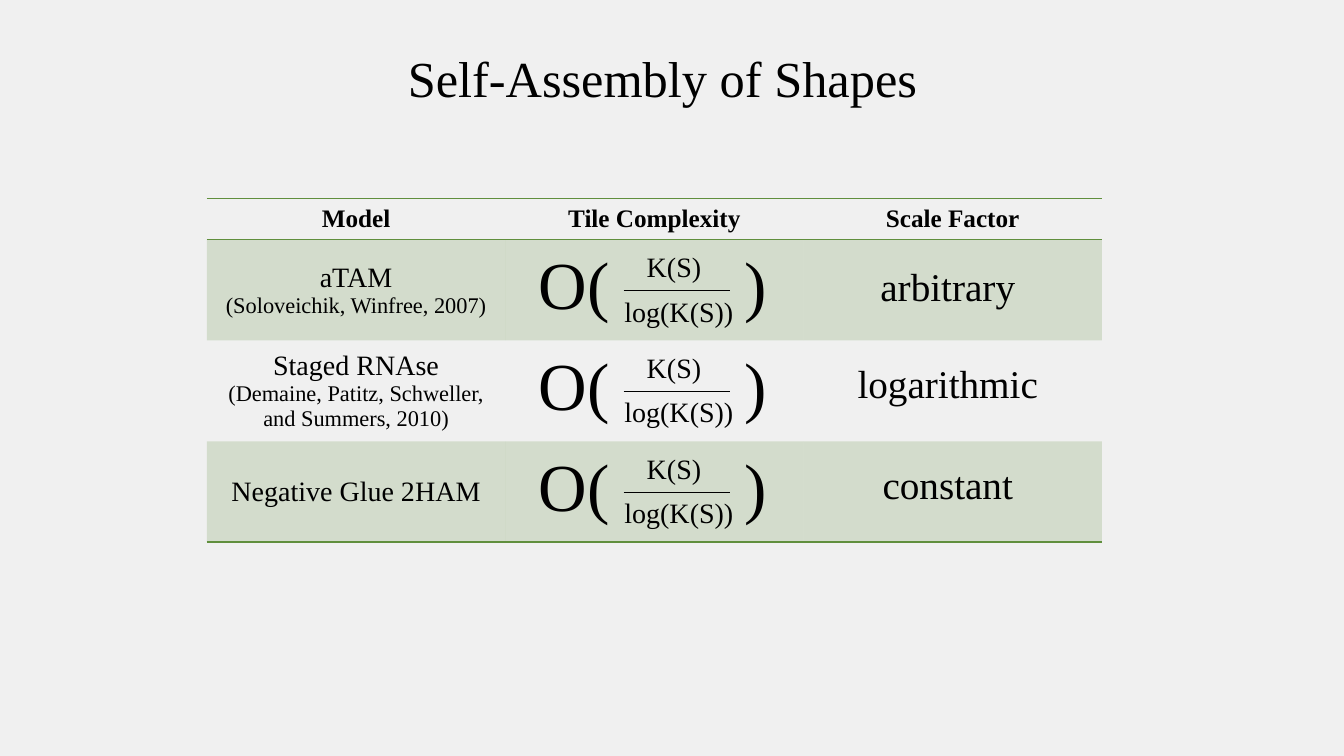
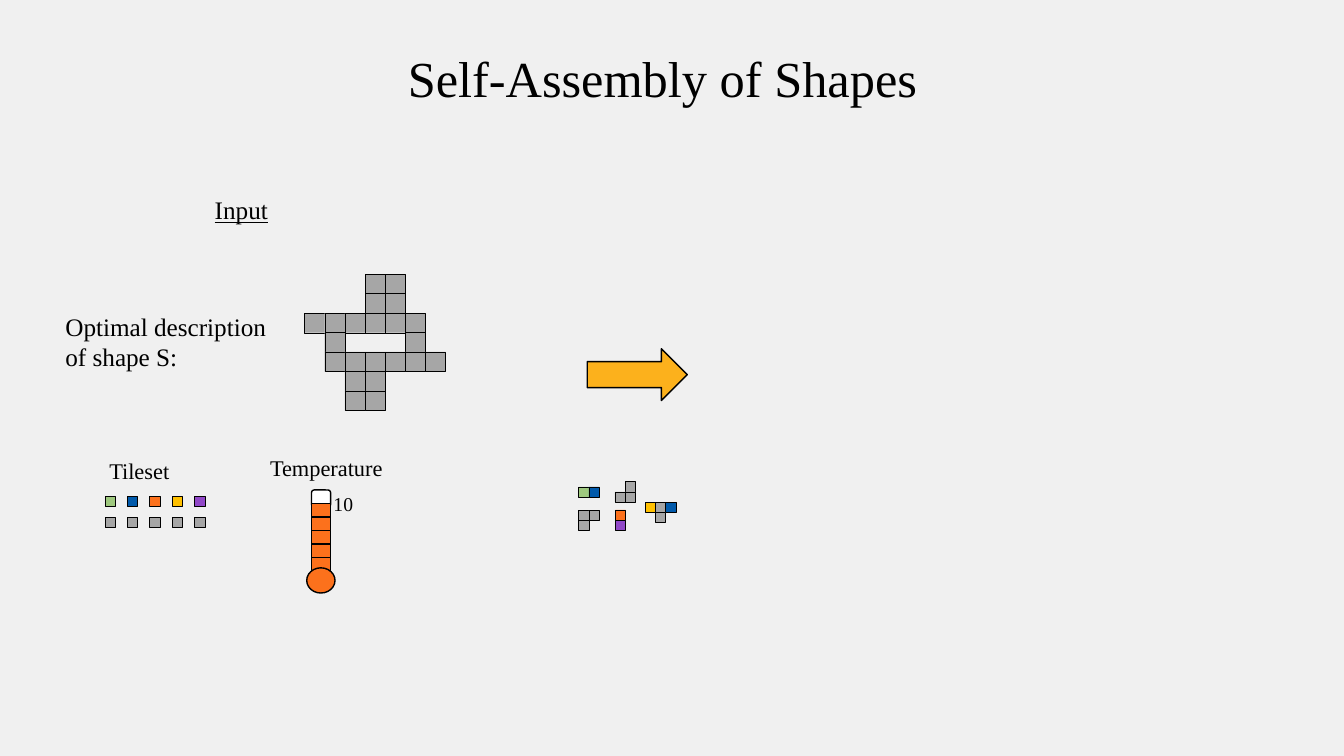
from lxml.etree import SubElement
from pptx import Presentation
from pptx.dml.color import RGBColor
from pptx.enum.shapes import MSO_CONNECTOR, MSO_SHAPE
from pptx.enum.text import MSO_ANCHOR, MSO_AUTO_SIZE, PP_ALIGN
from pptx.oxml import parse_xml
from pptx.oxml.ns import nsdecls, qn
from pptx.util import Pt

FONT = "Times New Roman"
BLACK, WHITE, PAPER = "000000", "FFFFFF", "F0F0F0"
GREEN, ORANGE, AMBER = "608F3D", "FC711C", "FCB11C"
TILE_COLOURS = {"g": "9EC87E", "b": "015AAB", "o": ORANGE,
                "y": "FFC000", "p": "9148C8", "x": "A6A6A6"}
NO_TABLE_STYLE = "{2D5ABB26-0587-4C30-8999-92F81FD0307C}"

TITLE = "Self-Assembly of Shapes"
TITLE_BOX = (282, 29.5, 382.5, 51)
HEADINGS = ["Model", "Tile Complexity", "Scale Factor"]
MODELS = [
    (["aTAM", "(Soloveichik, Winfree, 2007)"], "arbitrary", 12.3),
    (["Staged RNAse", "(Demaine, Patitz, Schweller, and Summers, 2010)"],
     "logarithmic", 10.1),
    (["Negative Glue 2HAM"], "constant", 10.1),
]
SHAPE_S = ["   xx", "   xx", "xxxxxx", " x   x", " xxxxxx", "  xx", "  xx"]
TILESET = ["gboyp", "xxxxx"]
ASSEMBLIES = [
    (413.3, 347.8, ["gb"]),
    (413.3, 364.6, ["xx", "x"]),
    (439.2, 344.2, [" x", "xx"]),
    (439.6, 364.3, ["o", "p"]),
    (460.8, 358.6, ["yxb", " x"]),
]


def colour(hex_string):
    return RGBColor.from_string(hex_string)


def place(shape, left, top, width, height):
    shape.left, shape.top = Pt(left), Pt(top)
    shape.width, shape.height = Pt(width), Pt(height)


def add_run(paragraph, text, size, bold=False, underline=False):
    run = paragraph.add_run()
    run.text = text
    run.font.name, run.font.size = FONT, Pt(size)
    run.font.bold, run.font.underline = bold, underline
    run.font.color.rgb = colour(BLACK)


def write_lines(text_frame, lines, sizes, align, **style):
    for index, (line, size) in enumerate(zip(lines, sizes)):
        paragraph = text_frame.paragraphs[0] if index == 0 else text_frame.add_paragraph()
        paragraph.alignment = align
        add_run(paragraph, line, size, **style)


def add_label(shapes, box, text, size, align=PP_ALIGN.LEFT, **style):
    label = shapes.add_textbox(*map(Pt, box))
    label.text_frame.word_wrap = True
    lines = text.split("\n")
    write_lines(label.text_frame, lines, [size] * len(lines), align, **style)
    return label


def add_block(shapes, kind, box, fill, line_width):
    block = shapes.add_shape(kind, *map(Pt, box))
    block.shadow.inherit = False
    block.fill.solid()
    block.fill.fore_color.rgb = colour(fill)
    block.line.color.rgb = colour(BLACK)
    block.line.width = Pt(line_width)
    return block


def add_tiles(shapes, left, top, rows, pitch, size, line_width=0.5):
    """Draw a square for each letter in rows; pitch and size are (x, y)."""
    for row, letters in enumerate(rows):
        for column, letter in enumerate(letters):
            if letter in TILE_COLOURS:
                box = (left + column * pitch[0], top + row * pitch[1], *size)
                add_block(shapes, MSO_SHAPE.RECTANGLE, box, TILE_COLOURS[letter], line_width)


def add_titled_slide(presentation):
    slide = presentation.slides.add_slide(presentation.slide_layouts[5])
    title = slide.shapes.title
    place(title, *TITLE_BOX)
    title.text_frame.auto_size = MSO_AUTO_SIZE.NONE
    write_lines(title.text_frame, [TITLE], [36], PP_ALIGN.CENTER)
    return slide


def format_cell(cell, shaded, edges):
    """Fill a cell, and rule the edges named in "T" and "B"."""
    cell.vertical_anchor = MSO_ANCHOR.MIDDLE
    if shaded:
        cell.fill.solid()
        cell.fill.fore_color.rgb = colour(GREEN)
    else:
        cell.fill.background()
    properties = cell._tc.get_or_add_tcPr()
    for value in properties.iter(qn("a:srgbClr")):
        SubElement(value, qn("a:alpha"), val="20000")
    for index, edge in enumerate(edges):
        properties.insert(index, parse_xml(
            f'<a:ln{edge} {nsdecls("a")} w="12700"><a:solidFill>'
            f'<a:srgbClr val="{GREEN}"/></a:solidFill></a:ln{edge}>'))


def add_complexity(slide, left, top):
    """Write O(K(S) / log(K(S))) in the table cell at left, top."""
    shapes = slide.shapes.add_group_shape().shapes
    add_label(shapes, (left + 78, top + 35.3, 129, 31.5), "log(K(S))", 20)
    bar_y = Pt(top + 36.2)
    bar = shapes.add_connector(MSO_CONNECTOR.STRAIGHT, Pt(left + 84.5), bar_y,
                               Pt(left + 160.2), bar_y)
    bar.line.color.rgb = colour(BLACK)
    bar.line.width = Pt(0.5)
    SubElement(bar.element.spPr, qn("a:effectLst"))
    add_label(shapes, (left + 94, top + 3.7, 88, 31.5), "K(S)", 20)
    big_o = add_label(shapes, (left + 17, top - 1.4, 178.5, 65.5), "O(\t)", 48)
    properties = big_o.text_frame.paragraphs[0]._p.get_or_add_pPr()
    tabs = SubElement(properties, qn("a:tabLst"))
    SubElement(tabs, qn("a:tab"), pos=str(Pt(146.7)), algn="l")


def add_model_table(slide, left, top, column_width, header_height, row_height):
    frame = slide.shapes.add_table(
        len(MODELS) + 1, len(HEADINGS), Pt(left), Pt(top),
        Pt(column_width * len(HEADINGS)), Pt(header_height + row_height * len(MODELS)))
    for style in frame.element.iter(qn("a:tableStyleId")):
        style.text = NO_TABLE_STYLE
    table = frame.table
    for column, heading in enumerate(HEADINGS):
        table.columns[column].width = Pt(column_width)
        write_lines(table.cell(0, column).text_frame, [heading], [18],
                    PP_ALIGN.CENTER, bold=True)
    for index, row in enumerate(table.rows):
        row.height = Pt(row_height if index else header_height)
        edges = {0: "TB", len(MODELS): "B"}.get(index, "")
        for cell in row.cells:
            format_cell(cell, index % 2 == 1, edges)
    for index, (names, scale, drop) in enumerate(MODELS):
        write_lines(table.cell(index + 1, 0).text_frame, names, [20, 16], PP_ALIGN.CENTER)
        row_top = top + header_height + index * row_height
        add_complexity(slide, left + column_width, row_top)
        scale_box = (left + 2 * column_width + 23, row_top + drop, 160, 41)
        add_label(slide.shapes, scale_box, scale, 28, PP_ALIGN.CENTER)


def add_thermometer(slide, left, top):
    shapes = slide.shapes.add_group_shape().shapes
    add_label(shapes, (left, top, 105, 26.5), "Temperature", 16)
    add_label(shapes, (left + 45.3, top + 26.7, 32, 24.5), "10", 14)
    tube, width, step = left + 36.7, 13.7, 9.6
    add_block(shapes, MSO_SHAPE.ROUNDED_RECTANGLE,
              (tube, top + 29, width, 12.2), WHITE, 1)
    for segment in range(5):
        add_block(shapes, MSO_SHAPE.RECTANGLE,
                  (tube, top + 38.7 + segment * step, width, step), ORANGE, 1)
    add_block(shapes, MSO_SHAPE.OVAL, (left + 33.3, top + 84.6, 20.2, 18), ORANGE, 1)


def add_tileset(slide, left, top):
    add_label(slide.shapes, (left, top, 75, 26.5), "Tileset", 16)
    add_tiles(slide.shapes, left + 4, top + 31.3, TILESET, (16, 15), (7.4, 7.4))


def add_shape_description(slide, left, top):
    add_label(slide.shapes, (left, top, 206, 51), "Optimal description\nof shape S:", 18)
    add_tiles(slide.shapes, left + 178, top - 23.1, SHAPE_S, (14.4, 13.9), (14.4, 14.1), 0.25)


def build_comparison_slide(presentation):
    slide = add_titled_slide(presentation)
    add_model_table(slide, 147.8, 141.8, 213.1, 29.4, 72)


def build_input_slide(presentation):
    slide = add_titled_slide(presentation)
    add_label(slide.shapes, (146.3, 135.4, 60, 29), "Input", 18, underline=True)
    add_shape_description(slide, 39.6, 218.9)
    add_tileset(slide, 71, 323.2)
    add_thermometer(slide, 185.8, 321)
    add_block(slide.shapes, MSO_SHAPE.RIGHT_ARROW, (419.5, 249.1, 71.5, 37), AMBER, 1)
    for left, top, rows in ASSEMBLIES:
        add_tiles(slide.shapes, left, top, rows, (7.4, 7.2), (7.4, 7.2))


def main():
    presentation = Presentation()
    presentation.slide_width, presentation.slide_height = Pt(960), Pt(540)
    background = presentation.slide_master.background.fill
    background.solid()
    background.fore_color.rgb = colour(PAPER)
    build_comparison_slide(presentation)
    build_input_slide(presentation)
    presentation.save("out.pptx")


if __name__ == "__main__":
    main()
